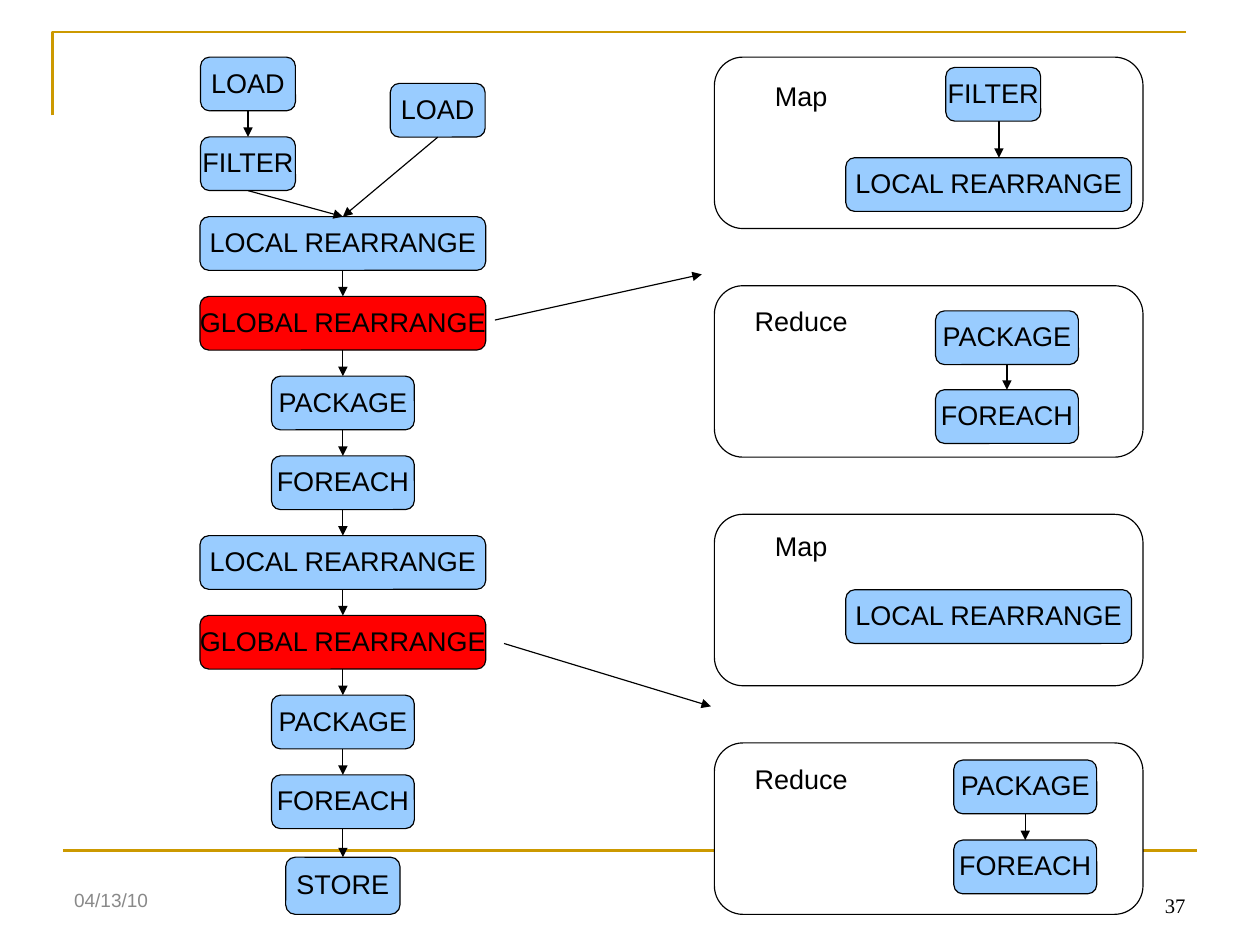
from lxml import etree
from pptx import Presentation
from pptx.dml.color import RGBColor
from pptx.enum.shapes import MSO_CONNECTOR, MSO_SHAPE
from pptx.enum.text import MSO_ANCHOR, PP_ALIGN
from pptx.oxml.ns import qn
from pptx.util import Inches, Pt

STRAIGHT = MSO_CONNECTOR.STRAIGHT
ROUNDED = MSO_SHAPE.ROUNDED_RECTANGLE
PANEL = MSO_SHAPE.FLOWCHART_ALTERNATE_PROCESS
TOP, MIDDLE, BOTTOM = MSO_ANCHOR.TOP, MSO_ANCHOR.MIDDLE, MSO_ANCHOR.BOTTOM
LEFT, CENTER, RIGHT = PP_ALIGN.LEFT, PP_ALIGN.CENTER, PP_ALIGN.RIGHT

BLACK = RGBColor(0x00, 0x00, 0x00)
WHITE = RGBColor(0xFF, 0xFF, 0xFF)
GOLD = RGBColor(0xCC, 0x99, 0x00)
BLUE = RGBColor(0x99, 0xCC, 0xFF)
RED = RGBColor(0xFF, 0x00, 0x00)
GREY = RGBColor(0x89, 0x89, 0x89)

CM_PER_INCH = 2.54
FLOW_X = 3.0
FLOW_TOP = 0.5
PITCH = 6.28 / 9
NODE_H = 0.47
WIDTHS = {
    "LOAD": 0.83, "FILTER": 0.83, "STORE": 1.0, "PACKAGE": 1.25,
    "FOREACH": 1.25, "LOCAL REARRANGE": 2.5, "GLOBAL REARRANGE": 2.5,
}
STAGES = ["LOCAL REARRANGE", "GLOBAL REARRANGE", "PACKAGE", "FOREACH"]
PANELS = [
    ("Map", 0.67, [("FILTER", 8.69, 0.59), ("LOCAL REARRANGE", 8.65, 1.38)]),
    ("Reduce", 2.64, [("PACKAGE", 8.81, 2.72), ("FOREACH", 8.81, 3.41)]),
    ("Map", 4.61, [("LOCAL REARRANGE", 8.65, 5.16)]),
    ("Reduce", 6.65, [("PACKAGE", 8.97, 6.65), ("FOREACH", 8.97, 7.35)]),
]


def set_text(s, text, size=17, color=BLACK, font="Arial", align=CENTER,
             anchor=MIDDLE, wrap=True, spacing=0.93):
    """Write one formatted paragraph into a shape."""
    tf = s.text_frame
    tf.word_wrap = wrap
    tf.vertical_anchor = anchor
    p = tf.paragraphs[0]
    p.text = text
    p.alignment = align
    p.line_spacing = spacing
    p.font.size = Pt(size)
    p.font.name = font
    p.font.color.rgb = color


def add_label(sp, text, x, y, w, h, **style):
    """Add a text box."""
    s = sp.add_textbox(Inches(x), Inches(y), Inches(w), Inches(h))
    set_text(s, text, **style)


def add_outlined(sp, kind, x, y, w, h, fill):
    """Add a filled preset shape with a thin black outline."""
    s = sp.add_shape(kind, Inches(x), Inches(y), Inches(w), Inches(h))
    s.shadow.inherit = False
    s.fill.solid()
    s.fill.fore_color.rgb = fill
    s.line.color.rgb = BLACK
    s.line.width = Pt(0.75)
    return s


def add_node(sp, text, center, y, h=NODE_H):
    """Add an operator box centred on a given x."""
    w = WIDTHS[text]
    fill = RED if text == "GLOBAL REARRANGE" else BLUE
    s = add_outlined(sp, ROUNDED, center - w / 2, y, w, h, fill)
    set_text(s, text, wrap=False)
    return s


def add_line(sp, x1, y1, x2, y2, color=BLACK, width=0.75):
    """Add a straight line without shadow."""
    c = sp.add_connector(STRAIGHT, Inches(x1), Inches(y1), Inches(x2), Inches(y2))
    c.line.color.rgb = color
    c.line.width = Pt(width)
    etree.SubElement(c._element.spPr, qn("a:effectLst"))
    return c


def add_arrow(sp, x1=0, y1=0, x2=0, y2=0):
    """Add a line with a triangle at its end."""
    c = add_line(sp, x1, y1, x2, y2)
    etree.SubElement(c.line._get_or_add_ln(), qn("a:tailEnd"), type="triangle")
    return c


def join(sp, upper, lower):
    """Join the bottom of one box to the top of another."""
    c = add_arrow(sp)
    c.begin_connect(upper, 2)
    c.end_connect(lower, 0)


def join_chain(sp, nodes):
    """Join successive boxes with arrows."""
    for upper, lower in zip(nodes, nodes[1:]):
        join(sp, upper, lower)


def add_frame(sp):
    """Add the gold rules, date and page number."""
    builder = sp.build_freeform(Inches(0.46), Inches(1.01))
    builder.add_line_segments(
        [(Inches(0.46), Inches(0.28)), (Inches(10.38), Inches(0.28))], close=False)
    s = builder.convert_to_shape()
    s.shadow.inherit = False
    s.fill.background()
    s.line.color.rgb = GOLD
    s.line.width = Pt(1.5)
    add_line(sp, 0.55, 7.44, 10.47, 7.44, GOLD, 1.5)
    add_label(sp, "37", 7.9, 7.53, 2.57, 0.55, size=13, font="Times New Roman",
              align=RIGHT, anchor=BOTTOM, spacing=1.0)
    add_label(sp, "04/13/10", 0.55, 7.66, 2.57, 0.44, size=12, color=GREY,
              align=LEFT)


def add_flow(sp):
    """Add the operator plan on the left."""
    load, filtered = [add_node(sp, text, 2.17, FLOW_TOP + i * PITCH)
                      for i, text in enumerate(["LOAD", "FILTER"])]
    second_load = add_node(sp, "LOAD", 3.83, 0.73)
    chain = [add_node(sp, text, FLOW_X, FLOW_TOP + i * PITCH)
             for i, text in enumerate(STAGES * 2, start=2)]
    chain.append(add_node(sp, "STORE", FLOW_X, 7.5, 0.5))
    join_chain(sp, [load, filtered, *chain])
    join(sp, second_load, chain[0])


def add_panels(sp):
    """Add the Map and Reduce panels on the right."""
    for i, (title, title_y, steps) in enumerate(PANELS):
        add_outlined(sp, PANEL, 6.25, 0.5 + 2 * i, 3.75, 1.5, WHITE)
        add_label(sp, title, 6.38, title_y, 1.26, 0.36, anchor=TOP)
        nodes = [add_node(sp, *step) for step in steps]
        if title == "Reduce":
            join_chain(sp, nodes)
    add_arrow(sp, 8.74, 1.06, 8.74, 1.38)


def main():
    """Build and save the slide."""
    prs = Presentation()
    prs.slide_width = round(Inches(28) / CM_PER_INCH)
    prs.slide_height = round(Inches(21) / CM_PER_INCH)
    sp = prs.slides.add_slide(prs.slide_layouts[6]).shapes
    add_frame(sp)
    add_flow(sp)
    add_panels(sp)
    add_arrow(sp, 4.33, 2.8, 6.14, 2.4)
    add_arrow(sp, 4.41, 5.63, 6.22, 6.18)
    prs.save("out.pptx")


if __name__ == "__main__":
    main()
